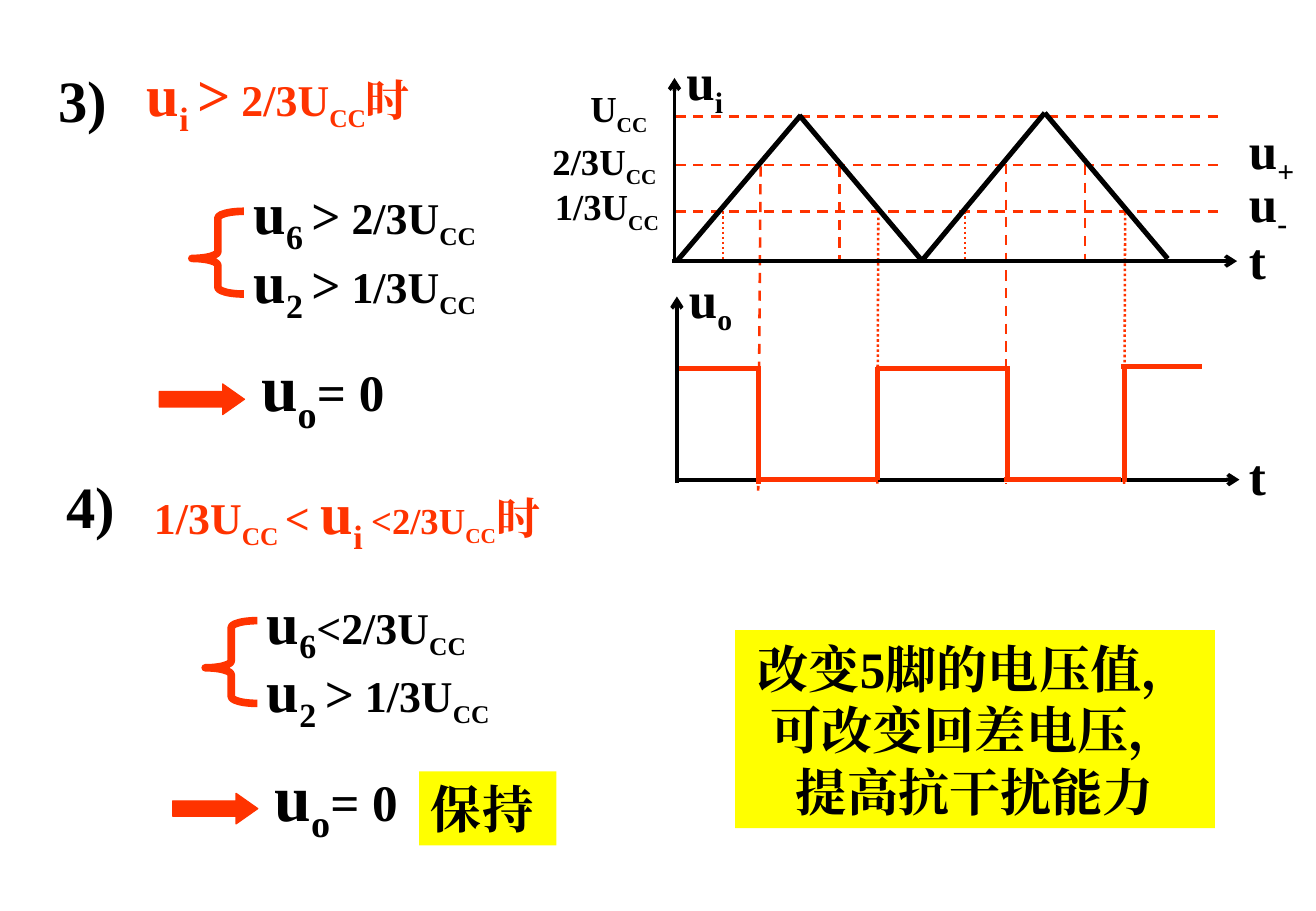
from lxml import etree
from pptx import Presentation
from pptx.dml.color import RGBColor
from pptx.enum import dml, shapes, text
from pptx.oxml.ns import qn
from pptx.util import Cm, Pt

RED, BLACK, YELLOW = "FF3300", "000000", "FFFF00"
FACE = "Times New Roman"
hue = RGBColor.from_string

prs = Presentation()
prs.slide_width, prs.slide_height = Cm(27.51), Cm(19.05)
slide = prs.slides.add_slide(prs.slide_layouts[6])
items = slide.shapes


def write(x, y, w, h, parts, color=BLACK):
    """Text box from (text, size) parts; a leading _ marks a subscript."""
    box = items.add_textbox(Cm(x), Cm(y), Cm(w), Cm(h))
    frame = box.text_frame
    frame.word_wrap = True
    for part, size in parts:
        run = frame.paragraphs[0].add_run()
        run.text = part.lstrip("_")
        font = run.font
        font.name, font.size, font.bold = FACE, Pt(size), True
        font.color.rgb = hue(color)
        props = run._r.get_or_add_rPr()
        etree.SubElement(props, qn("a:ea")).set("typeface", FACE)
        if part.startswith("_"):
            props.set("baseline", "-25000")
    return box


def draw(x1, y1, x2, y2, color, width, dash=None, head=False):
    line = items.add_connector(shapes.MSO_CONNECTOR.STRAIGHT,
                               Cm(x1), Cm(y1), Cm(x2), Cm(y2))
    line.line.color.rgb = hue(color)
    line.line.width = Pt(width)
    if dash:
        line.line.dash_style = dash
    if head:
        ln = line.line._get_or_add_ln()
        etree.SubElement(ln, qn("a:headEnd")).set("type", "arrow")
    etree.SubElement(line._element.spPr, qn("a:effectLst"))


# Case headings
write(0.97, 1.22, 1.83, 1.73, [("3)", 34.7)])
write(2.82, 1.09, 6.99, 1.73, [("u", 34.7), ("_i ", 34.7), (">", 34.7),
                               (" 2/3U", 26), ("_CC", 26), ("时", 26)], RED)
write(1.14, 9.7, 1.83, 1.73, [("4)", 34.7)])
write(2.97, 9.83, 10.21, 1.73,
      [("1/3U", 26), ("_CC ", 26), ("< ", 26), ("u", 34.7), ("_i ", 34.7),
       ("<2/3U", 21.7), ("_CC", 21.7), ("时", 26)], RED)

# Conditions and result of each case
above = [("_6 ", 34.7), (">", 30.3), (" 2/3U", 26)]
below = [("_6", 34.7), ("<2/3U", 26)]
for dx, dy, pin in [(0, 0, above), (0.28, 8.56, below)]:
    write(5.05 + dx, 3.56 + dy, 5.9, 1.73, [("u", 34.7), *pin, ("_CC", 26)])
    write(5.05 + dx, 5 + dy, 5.9, 1.73,
          [("u", 34.7), ("_2 ", 34.7), (">", 30.3), (" 1/3U", 26), ("_CC", 26)])
    write(5.21 + dx, 7.11 + dy, 4.93, 1.93,
          [("u", 39), ("_o", 39), ("= 0", 30.3)])

    brace = items.add_shape(shapes.MSO_SHAPE.LEFT_BRACE, Cm(4.01 + dx),
                            Cm(4.42 + dy), Cm(1.09), Cm(1.73))
    brace.adjustments[0], brace.adjustments[1] = 0.13, 0.57
    brace.fill.background()
    brace.line.width = Pt(4.5)
    arrow = items.add_shape(shapes.MSO_SHAPE.RIGHT_ARROW, Cm(3.33 + dx),
                            Cm(8.03 + dy), Cm(1.78), Cm(0.64))
    arrow.adjustments[0], arrow.adjustments[1] = 0.5, 0.71
    arrow.fill.solid()
    arrow.fill.fore_color.rgb = hue(RED)
    arrow.line.width = Pt(0.75)
    for shape in (brace, arrow):
        shape.line.color.rgb = hue(RED)
        shape.shadow.inherit = False

# Guides down from the crossings
DASH, DOT = dml.MSO_LINE.DASH, dml.MSO_LINE.ROUND_DOT
for x1, y1, x2, y2, dash in [
        (21.03, 3.43, 21.03, 10.13, DASH), (22.68, 3.45, 22.68, 5.44, DASH),
        (15.9, 3.48, 15.85, 10.26, DASH), (17.55, 3.48, 17.55, 5.49, DASH),
        (20.17, 4.42, 20.17, 5.44, DOT), (23.52, 4.45, 23.5, 10.13, DOT),
        (18.36, 4.55, 18.34, 10.13, DOT), (15.11, 4.42, 15.11, 5.46, DOT)]:
    draw(x1, y1, x2, y2, RED, 1.5, dash)

# Output axes and square wave
draw(14.15, 6.2, 14.15, 10.11, BLACK, 2.25, head=True)
draw(25.91, 10.03, 14.1, 10.03, BLACK, 2.25, head=True)
for ends in [(14.2, 7.7, 15.9, 7.7), (15.85, 7.67, 15.85, 10.13),
             (15.88, 10.03, 18.36, 10.03), (18.34, 7.67, 18.34, 10.03),
             (18.31, 7.7, 21.11, 7.7), (21.06, 7.67, 21.06, 10.06),
             (20.98, 10.03, 23.44, 10.03), (23.5, 7.65, 23.5, 10.08),
             (23.44, 7.67, 25.12, 7.67)]:
    draw(*ends, RED, 3)

# Input levels, triangle wave and axes
for y in (2.44, 3.45, 4.42):
    draw(14.12, y, 25.53, y, RED, 1.5, DASH)
for ends in [(19.28, 5.44, 21.84, 2.36), (24.41, 5.41, 21.84, 2.36),
             (14.15, 5.46, 16.74, 2.41), (19.28, 5.46, 16.71, 2.41)]:
    draw(*ends, BLACK, 3)
draw(14.1, 1.63, 14.1, 5.51, BLACK, 2.25, head=True)
draw(25.86, 5.46, 14.05, 5.46, BLACK, 2.25, head=True)

# Graph labels
for x, y, *parts in [(14.15, 5.46, "u", "_o"), (25.86, 9.17, "t"),
                     (14.1, 0.91, "u", "_i"), (25.86, 4.65, "t"),
                     (25.86, 2.36, "u", "_+"), (25.86, 3.45, "u", "_-")]:
    write(x, y, 1.65, 1.55, [(part, 30.3) for part in parts])
for x, y, name in [(12.09, 1.68, "U"), (11.3, 2.77, "2/3U"),
                   (11.35, 3.73, "1/3U")]:
    write(x, y, 3.15, 1.19, [(name, 21.7), ("_CC", 21.7)])

# Yellow notes
note = write(15.37, 13.18, 10.03, 4.14,
             [("改变5脚的电压值，可改变回差电压，提高抗干扰能力", 30.3)])
note.text_frame.vertical_anchor = text.MSO_ANCHOR.MIDDLE
note.text_frame.paragraphs[0].alignment = text.PP_ALIGN.CENTER
hold = write(8.76, 16.13, 2.87, 1.55, [("保持", 30.3)])
for box in (note, hold):
    box.fill.solid()
    box.fill.fore_color.rgb = hue(YELLOW)

prs.save("out.pptx")
